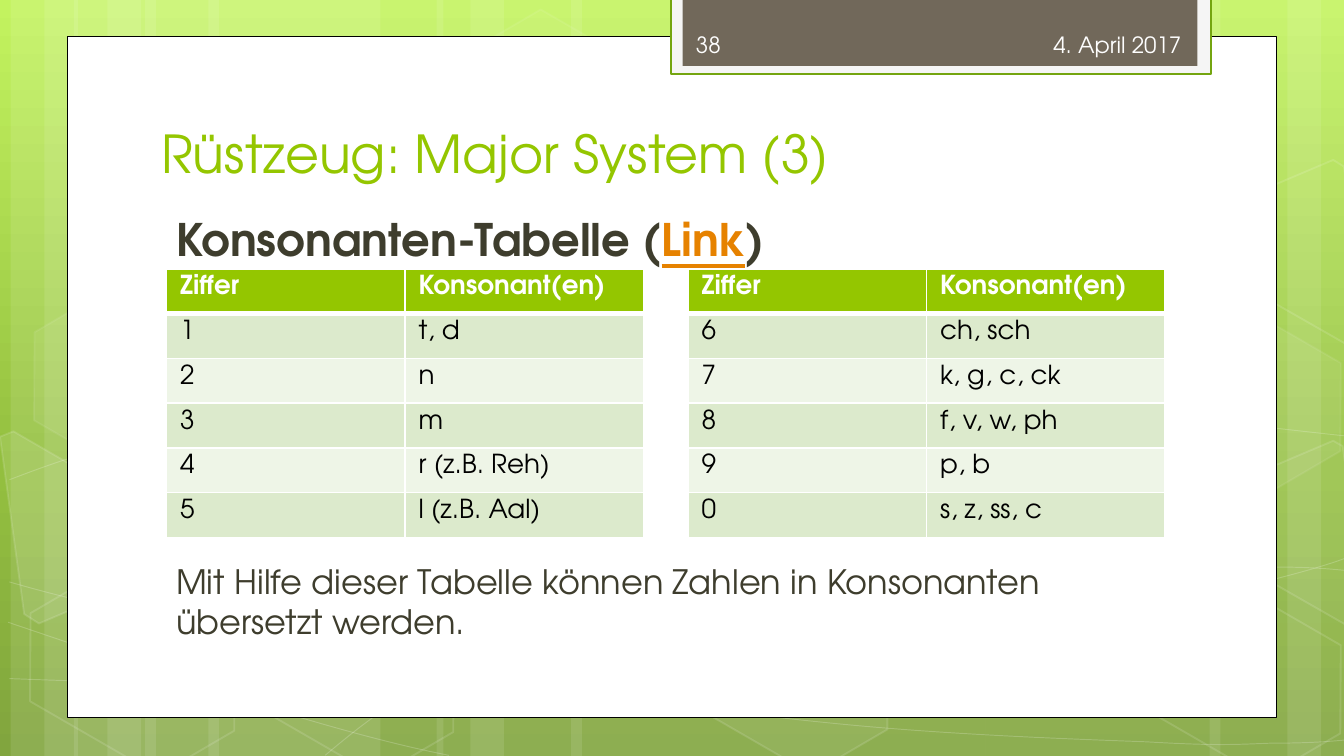
import copy
from dataclasses import dataclass
from typing import NamedTuple, Optional

import pptx
import pptx.util
from pptx.dml.color import RGBColor
from pptx.enum.shapes import MSO_SHAPE
from pptx.enum.text import MSO_ANCHOR, MSO_AUTO_SIZE, PP_ALIGN
from pptx.oxml import parse_xml
from pptx.oxml.ns import nsdecls, qn

EMU_PER_PX = 9144  # 100 px to the inch


@dataclass(frozen=True)
class Theme:
    font: str = "TeX Gyre Adventor"
    white: str = "FFFFFF"
    black: str = "000000"
    green: str = "94C600"
    text: str = "3E3D2D"
    link: str = "E68200"
    tab_text: str = "FEFEFE"
    tab_back: str = "F5F5F5"
    tab_edge: str = "74A510"
    tab_front: str = "71685A"
    bands: tuple = ("DCEACC", "EEF5E7")
    gradient: tuple = ((0, "C3F35F"), (0.62, "93BF3F"), (1, "81A53E"))
    title_size: int = 28
    heading_size: int = 24
    body_size: int = 18
    table_size: int = 14
    tab_size: int = 12


class Box(NamedTuple):
    left: int
    top: int
    width: int
    height: int


class Paint(NamedTuple):
    """Fill and line; opacities are percentages."""
    fill: Optional[str] = None
    fill_opacity: int = 100
    line: Optional[str] = None
    line_width: float = 1
    line_opacity: int = 100


class Hexagon(NamedTuple):
    left: int
    top: int
    fill_opacity: int
    line_opacity: int


class Outline(NamedTuple):
    points: list
    fill_opacity: int


class DigitTable(NamedTuple):
    left: int
    rows: list


THEME = Theme()
SLIDE_HEIGHT = pptx.util.Inches(5.625)

# Left and width of the translucent vertical stripes
STRIPES = [(108, 175), (8, 50), (33, 83), (155, 175), (55, 50), (80, 83),
           (733, 175), (958, 50), (900, 83), (425, 308), (325, 50), (350, 83)]

# Start point followed by three points for each cubic curve
WAVES = [
    [(7, 505), (61, 507), (115, 509), (190, 508), (265, 507), (358, 506), (458, 499),
     (558, 491), (700, 477), (792, 463), (883, 448), (977, 426), (1007, 413)],
    [(7, 357), (36, 346), (65, 335), (121, 323), (178, 312), (259, 296), (347, 290),
     (436, 285), (544, 284), (654, 290), (764, 296), (947, 319), (1007, 325)],
    [(6, 463), (127, 504), (247, 545), (334, 562)],
    [(7, 433), (38, 442), (70, 450), (128, 462), (186, 474), (273, 492), (357, 505),
     (440, 517), (545, 531), (628, 539), (711, 547), (800, 550), (853, 552),
     (905, 555), (919, 554), (945, 553), (971, 553), (989, 552), (1007, 550)],
    [(242, 562), (260, 547), (278, 532), (302, 518), (326, 504), (360, 489), (388, 479),
     (416, 469), (433, 464), (470, 457), (506, 449), (573, 438), (608, 433),
     (644, 428), (649, 429), (680, 427), (711, 425), (760, 423), (794, 422),
     (829, 421), (886, 422), (886, 422), (908, 422), (931, 422), (953, 422),
     (971, 422), (988, 423), (1006, 425)],
]
HEXAGONS = [Hexagon(334, 27, 4, 8), Hexagon(497, 442, 6, 12), Hexagon(11, 443, 0, 12),
            Hexagon(14, 234, 7, 8), Hexagon(174, 444, 0, 12), Hexagon(834, 445, 0, 12),
            Hexagon(834, 235, 7, 8)]
CUT_HEXAGONS = [
    Outline([(0, 325), (10, 321), (86, 365), (95, 436), (29, 464), (18, 457)], 10),
    Outline([(926, 356), (992, 328), (999, 332), (1018, 468), (1012, 471), (935, 427)], 4),
    Outline([(926, 147), (992, 119), (1000, 124), (1018, 260), (1012, 262), (935, 218)], 0),
]
TABLES = [
    DigitTable(124, [("1", "t, d"), ("2", "n"), ("3", "m"), ("4", "r (z.B. Reh)"),
                     ("5", "l (z.B. Aal)")]),
    DigitTable(512, [("6", "ch, sch"), ("7", "k, g, c, ck"), ("8", "f, v, w, ph"),
                     ("9", "p, b"), ("0", "s, z, ss, c")]),
]


def px(length: int) -> int:
    return pptx.util.Emu(length * EMU_PER_PX)


def rgb(color: str) -> RGBColor:
    return RGBColor.from_string(color)


def paint_shape(shape, paint: Paint) -> None:
    shape.shadow.inherit = False
    shape.fill.background()
    shape.line.fill.background()
    parts = ((shape.fill, "a:solidFill", paint.fill, paint.fill_opacity),
             (shape.line.fill, "a:ln/a:solidFill", paint.line, paint.line_opacity))
    for fill, tag, color, opacity in parts:
        if color is None or opacity == 0:
            continue
        fill.solid()
        fill.fore_color.rgb = rgb(color)
        if opacity < 100:
            solid = shape._element.spPr.find("/".join(qn(name) for name in tag.split("/")))
            solid[0].append(parse_xml(f'<a:alpha {nsdecls("a")} val="{opacity * 1000}"/>'))
    if paint.line:
        shape.line.width = pptx.util.Pt(paint.line_width)


def add_preset(slide, kind, box: Box, paint: Paint):
    shape = slide.shapes.add_shape(kind, *map(px, box))
    paint_shape(shape, paint)
    return shape


def add_outline(slide, points: list, paint: Paint, close: bool):
    builder = slide.shapes.build_freeform(*points[0], scale=EMU_PER_PX)
    builder.add_line_segments(points[1:], close=close)
    shape = builder.convert_to_shape()
    paint_shape(shape, paint)
    return shape


def add_wave(slide, points: list) -> None:
    shape = add_outline(slide, points, Paint(line=THEME.white, line_width=0.5, line_opacity=20),
                        False)
    # Every three line segments become one cubic curve
    segments = list(shape._element.iter(qn("a:lnTo")))
    for i in range(0, len(segments), 3):
        curve = parse_xml(f'<a:cubicBezTo {nsdecls("a")}/>')
        segments[i].addprevious(curve)
        for segment in segments[i:i + 3]:
            curve.append(segment[0])
            segment.getparent().remove(segment)


def format_text(paragraph, size: int, color: str, bold: bool = False) -> None:
    font = paragraph.font
    font.name, font.size, font.bold = THEME.font, pptx.util.Pt(size), bold
    font.color.rgb = rgb(color)


def add_text(slide, box: Box, anchor):
    frame = slide.shapes.add_textbox(*map(px, box)).text_frame
    frame.word_wrap = True
    frame.vertical_anchor = anchor
    return frame


def add_tab_text(slide, box: Box, text: str, align) -> None:
    paragraph = add_text(slide, box, MSO_ANCHOR.MIDDLE).paragraphs[0]
    paragraph.text, paragraph.alignment = text, align
    format_text(paragraph, THEME.tab_size, THEME.tab_text)


def format_cell(cell, text: str, header: bool, fill: str) -> None:
    cell.text = text
    color = THEME.white if header else THEME.black
    format_text(cell.text_frame.paragraphs[0], THEME.table_size, color, header)
    properties = cell._tc.get_or_add_tcPr()
    for side in "LRTB":
        width = pptx.util.Pt(3 if header and side == "B" else 1)
        properties.append(parse_xml(
            f'<a:ln{side} {nsdecls("a")} w="{width}"><a:solidFill>'
            f'<a:srgbClr val="{THEME.white}"/></a:solidFill></a:ln{side}>'))
    cell.fill.solid()
    cell.fill.fore_color.rgb = rgb(fill)


def add_digit_table(slide, digits: DigitTable) -> None:
    rows = [("Ziffer", "Konsonant(en)")] + digits.rows
    box = Box(digits.left, 200, 355, 200)
    table = slide.shapes.add_table(len(rows), 2, *map(px, box)).table
    for i, row in enumerate(rows):
        fill = THEME.bands[(i - 1) % 2] if i else THEME.green
        for j, text in enumerate(row):
            format_cell(table.cell(i, j), text, i == 0, fill)


def set_background(slide) -> None:
    fill = slide.background.fill
    fill.gradient()
    fill.gradient_angle = 270
    stops = slide._element.find(".//" + qn("a:gsLst"))
    stops.append(copy.deepcopy(stops[0]))
    for stop, (position, color) in zip(fill.gradient_stops, THEME.gradient):
        stop.position, stop.color.rgb = position, rgb(color)


def main() -> None:
    presentation = pptx.Presentation()
    presentation.slide_width, presentation.slide_height = px(1000), SLIDE_HEIGHT
    slide = presentation.slides.add_slide(presentation.slide_layouts[5])
    white = THEME.white

    # Background decoration
    set_background(slide)
    for left, width in STRIPES:
        stripe = add_preset(slide, MSO_SHAPE.RECTANGLE, Box(left, 0, width, 562), Paint(white, 10))
        stripe.height = SLIDE_HEIGHT
    for wave in WAVES:
        add_wave(slide, wave)
    for hexagon in HEXAGONS:
        shape = add_preset(slide, MSO_SHAPE.HEXAGON, Box(hexagon.left, hexagon.top, 175, 114),
                           Paint(white, hexagon.fill_opacity, white, 1, hexagon.line_opacity))
        shape.adjustments[0] = 0.285
        shape.rotation = 30
    for points, opacity in CUT_HEXAGONS:
        add_outline(slide, points, Paint(white, opacity, white, 1, 12), True)

    # White page and the tab with number and date
    for box, paint in (
            (Box(50, 27, 900, 507), Paint(white, line=THEME.black, line_width=0.5)),
            (Box(499, -2, 402, 57), Paint(THEME.tab_back, line=THEME.tab_edge, line_width=1.25)),
            (Box(508, -2, 383, 51), Paint(THEME.tab_front))):
        add_preset(slide, MSO_SHAPE.RECTANGLE, box, paint)
    add_tab_text(slide, Box(656, 18, 233, 30), "4. April 2017", PP_ALIGN.RIGHT)
    add_tab_text(slide, Box(508, 18, 146, 30), "38", PP_ALIGN.LEFT)

    # Heading above and note below the tables
    frame = add_text(slide, Box(114, 153, 741, 357), MSO_ANCHOR.TOP)
    frame.margin_left = px(17)
    heading, note = frame.paragraphs[0], frame.add_paragraph()
    for text in ("Konsonanten-Tabelle (", "Link", ")"):
        heading.add_run().text = text
    format_text(heading, THEME.heading_size, THEME.text, True)
    link = heading.runs[1].font
    link.color.rgb, link.underline = rgb(THEME.link), True
    note.text = "Mit Hilfe dieser Tabelle können Zahlen in Konsonanten übersetzt werden."
    note.space_before = pptx.util.Pt(158)
    format_text(note, THEME.body_size, THEME.text)

    # Title, raised above the page
    title = slide.shapes.title
    title.left, title.top, title.width, title.height = map(px, Box(110, 80, 768, 62))
    title.text_frame.text = "Rüstzeug: Major System (3)"
    title.text_frame.auto_size = MSO_AUTO_SIZE.NONE
    title.text_frame.vertical_anchor = MSO_ANCHOR.BOTTOM
    title.text_frame.paragraphs[0].alignment = PP_ALIGN.LEFT
    format_text(title.text_frame.paragraphs[0], THEME.title_size, THEME.green)
    slide.shapes._spTree.append(title._element)

    # Digit tables
    for digits in TABLES:
        add_digit_table(slide, digits)

    presentation.save("out.pptx")


if __name__ == "__main__":
    main()
